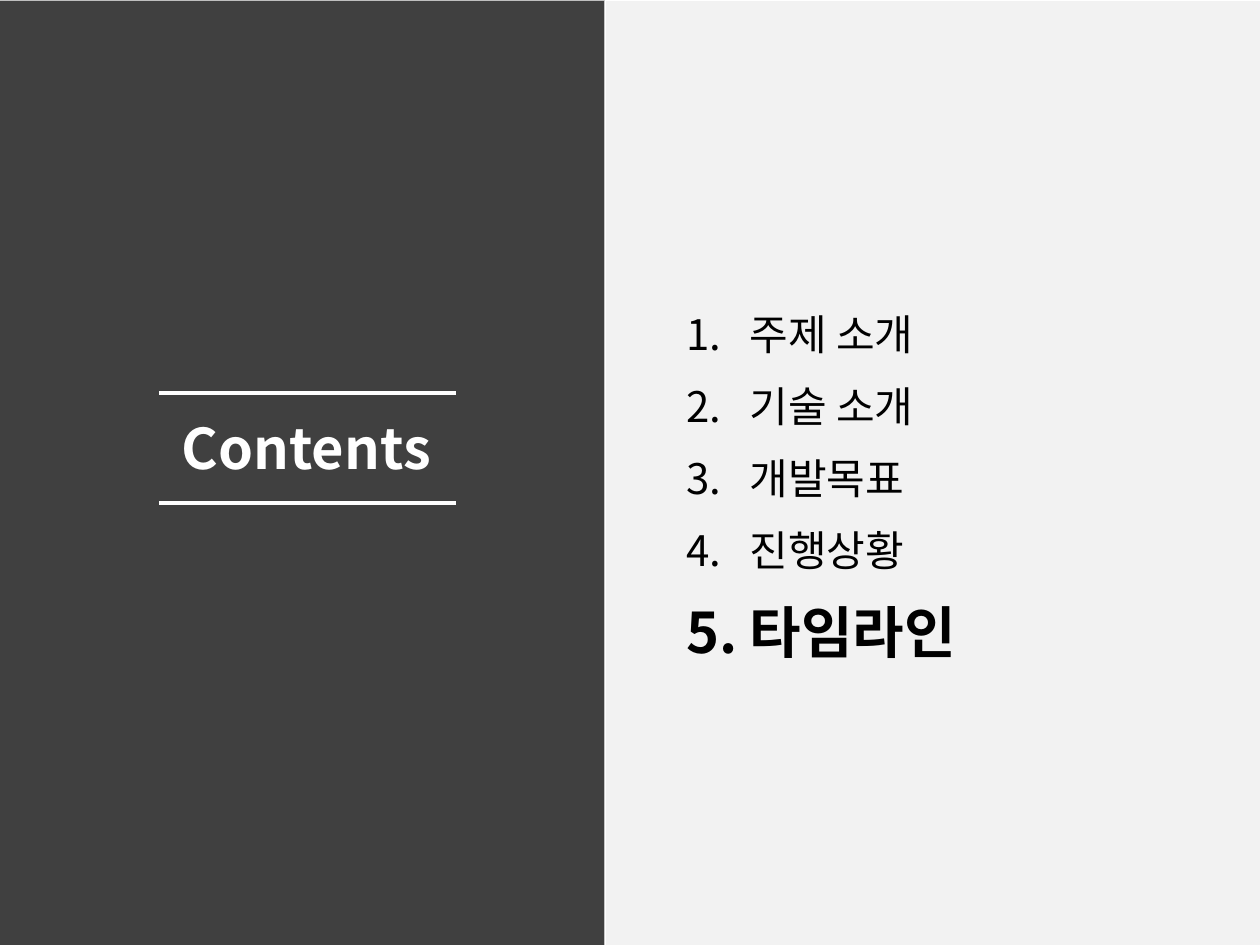
import pptx
import pptx.dml.color
import pptx.enum.shapes
import pptx.enum.text
import pptx.oxml.ns
import pptx.util
from lxml import etree

# Content
HEADING = "Contents"
TOPICS = ["주제 소개", "기술 소개", "개발목표", "진행상황", "타임라인"]
CURRENT_TOPIC = "타임라인"

# Colours and type: line is the line height in px, tab the gap after the number
THEME = {
    "font": "Noto Sans CJK KR",
    "heading": {"size": 32, "bold": True, "color": "FFFFFF", "line": 78},
    "topic": {"size": 24, "bold": False, "color": "000000", "line": 60, "tab": 53},
    "current": {"size": 32, "bold": True, "color": "000000", "line": 78, "tab": 72},
    "rule": "FFFFFF",
}

# Geometry in px: left, top, width, height
SLIDE_W, SLIDE_H = 1260, 945
PANELS = [
    {"box": (-1, 0, 605, 947), "fill": "404040", "line": "BFBFBF"},
    {"box": (605, 0, 655, 946), "fill": "F2F2F2", "line": "FFFFFF"},
]
HEADING_BOX = (169, 403, 312, 81)
TOPICS_BOX = (674, 299, 520, 425)
RULE_LEFT, RULE_RIGHT = 159, 456
RULE_TOPS = (393, 503)
TOPIC_GAP = 12


def px(length):
    return pptx.util.Emu(round(length * 914400 / 126))


def rgb(value):
    return pptx.dml.color.RGBColor.from_string(value)


def add_child(parent, tag, **attributes):
    return etree.SubElement(parent, pptx.oxml.ns.qn(tag), attributes)


def place(placeholder, box):
    """Move a placeholder to its box, in front of the panels."""
    for side, length in zip(("left", "top", "width", "height"), box):
        setattr(placeholder, side, px(length))
    frame = placeholder.text_frame
    settings = {
        "word_wrap": True,
        "auto_size": pptx.enum.text.MSO_AUTO_SIZE.NONE,
        "vertical_anchor": pptx.enum.text.MSO_ANCHOR.TOP,
        "margin_top": 0,
        "margin_bottom": 0,
    }
    for name, value in settings.items():
        setattr(frame, name, value)
    placeholder.element.getparent().append(placeholder.element)
    return frame


def write(paragraph, text, style, gap=0):
    if "tab" in style:
        properties = paragraph._p.get_or_add_pPr()
        properties.set("marL", "0")
        properties.set("indent", "0")
        add_child(properties, "a:buNone")
        tabs = add_child(properties, "a:tabLst")
        add_child(tabs, "a:tab", pos=str(px(style["tab"])), algn="l")
    layout = {
        "alignment": pptx.enum.text.PP_ALIGN.LEFT,
        "line_spacing": pptx.util.Pt(px(style["line"]).pt),
        "space_before": px(gap),
        "space_after": px(0),
    }
    for name, value in layout.items():
        setattr(paragraph, name, value)
    run = paragraph.add_run()
    run.text = text
    run.font.size = pptx.util.Pt(style["size"])
    run.font.bold = style["bold"]
    run.font.color.rgb = rgb(style["color"])
    run.font.name = THEME["font"]
    add_child(run.font._element, "a:ea", typeface=THEME["font"])


presentation = pptx.Presentation()
presentation.slide_width, presentation.slide_height = px(SLIDE_W), px(SLIDE_H)
slide = presentation.slides.add_slide(presentation.slide_layouts[1])

# Dark and light panels
for panel in PANELS:
    shape = slide.shapes.add_shape(
        pptx.enum.shapes.MSO_SHAPE.ROUNDED_RECTANGLE, *map(px, panel["box"]))
    shape.adjustments[0] = 0
    shape.shadow.inherit = False
    shape.fill.solid()
    shape.fill.fore_color.rgb = rgb(panel["fill"])
    shape.line.color.rgb = rgb(panel["line"])
    shape.line.width = pptx.util.Pt(0.5)

# Heading between two rules
heading = place(slide.shapes.title, HEADING_BOX)
write(heading.paragraphs[0], HEADING, THEME["heading"])
for top in RULE_TOPS:
    rule = slide.shapes.add_connector(
        pptx.enum.shapes.MSO_CONNECTOR.STRAIGHT,
        px(RULE_LEFT), px(top), px(RULE_RIGHT), px(top))
    rule.line.color.rgb = rgb(THEME["rule"])
    rule.line.width = pptx.util.Pt(2.25)
    add_child(rule.element.spPr, "a:effectLst")

# Numbered topics, the current one emphasised
topics = place(slide.placeholders[1], TOPICS_BOX)
for number, topic in enumerate(TOPICS, 1):
    first = number == 1
    paragraph = topics.paragraphs[0] if first else topics.add_paragraph()
    style = THEME["current" if topic == CURRENT_TOPIC else "topic"]
    write(paragraph, f"{number}.\t{topic}", style, 0 if first else TOPIC_GAP)

presentation.save("out.pptx")
